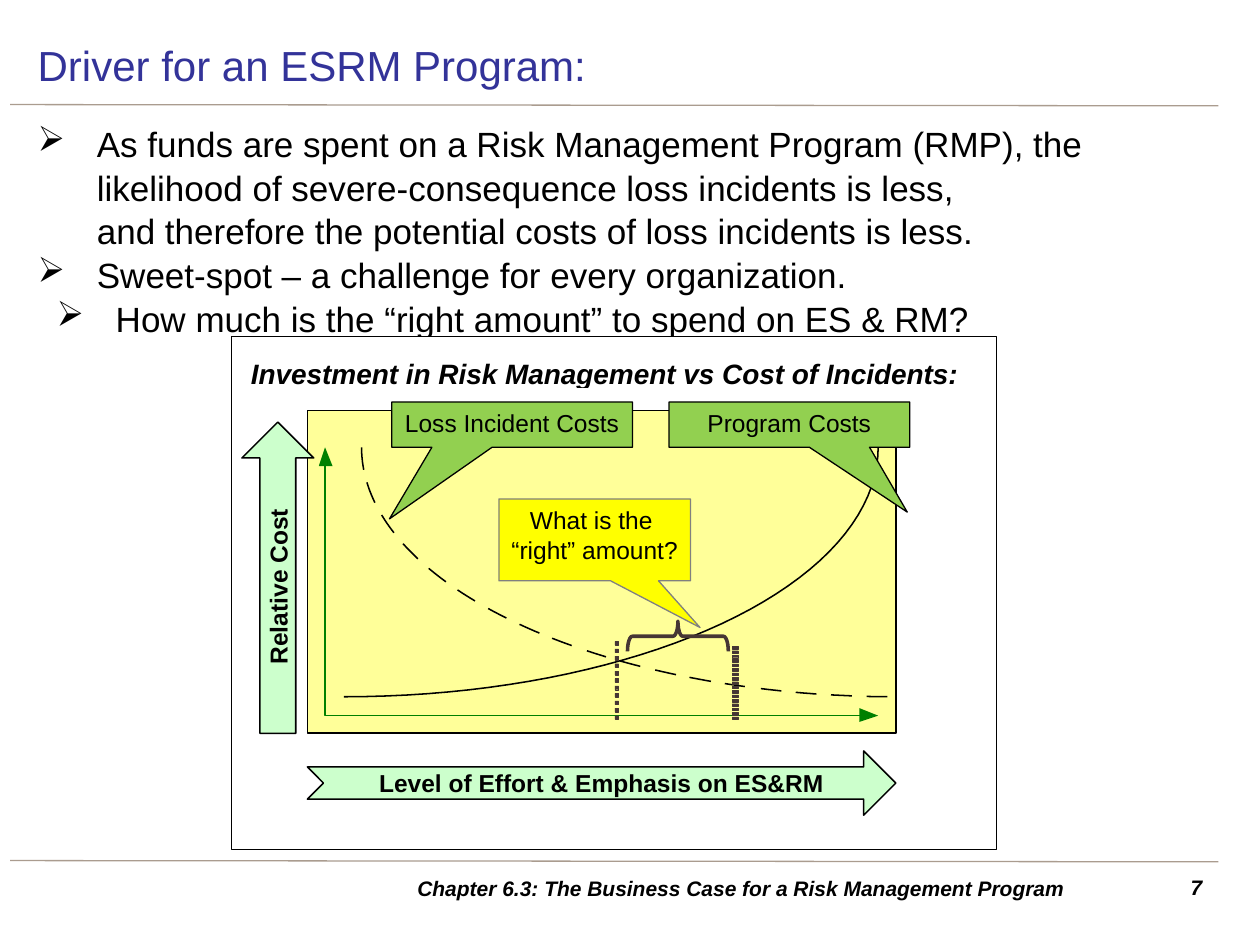
"""Build the slide on what drives an ESRM program."""
from itertools import groupby
from math import cos, dist, pi, sin

from lxml import etree
from pptx import Presentation
from pptx.dml.color import RGBColor
from pptx.enum.shapes import MSO_CONNECTOR, MSO_SHAPE
from pptx.enum.text import MSO_ANCHOR, PP_ALIGN
from pptx.oxml.ns import qn
from pptx.util import Inches, Pt

RECTANGLE, CALLOUT = MSO_SHAPE.RECTANGLE, MSO_SHAPE.RECTANGULAR_CALLOUT
UP_ARROW, NOTCHED_ARROW = MSO_SHAPE.UP_ARROW, MSO_SHAPE.NOTCHED_RIGHT_ARROW
LEFT_BRACE, STRAIGHT = MSO_SHAPE.LEFT_BRACE, MSO_CONNECTOR.STRAIGHT
LEFT, CENTER, RIGHT = PP_ALIGN.LEFT, PP_ALIGN.CENTER, PP_ALIGN.RIGHT
TOP, MIDDLE = MSO_ANCHOR.TOP, MSO_ANCHOR.MIDDLE

BLACK = RGBColor(0x00, 0x00, 0x00)
WHITE = RGBColor(0xFF, 0xFF, 0xFF)
TAUPE = RGBColor(0xAA, 0x9C, 0x8F)
NAVY = RGBColor(0x33, 0x33, 0x99)
CREAM = RGBColor(0xFF, 0xFF, 0x99)
MINT = RGBColor(0xCC, 0xFF, 0xCC)
GREEN = RGBColor(0x00, 0x80, 0x00)
LIME = RGBColor(0x92, 0xD0, 0x50)
YELLOW = RGBColor(0xFF, 0xFF, 0x00)
GRAY = RGBColor(0x80, 0x80, 0x80)
BROWN = RGBColor(0x46, 0x36, 0x34)


def paint(shape, fill=None, line=None, width=0.88):
    shape.shadow.inherit = False
    for part, color in ((shape.fill, fill), (shape.line.fill, line)):
        if color is None:
            part.background()
        else:
            part.solid()
            part.fore_color.rgb = color
    if line is not None:
        shape.line.width = Pt(width)


def write(shape, lines, size, align=LEFT, anchor=TOP, wrap=True, **style):
    frame = shape.text_frame
    frame.word_wrap = wrap
    frame.vertical_anchor = anchor
    frame.text = "\n".join(lines)
    for paragraph in frame.paragraphs:
        paragraph.alignment = align
        for run in paragraph.runs:
            run.font.color.rgb = style.get("color", BLACK)
            values = {"name": "Arial", "size": Pt(size), "bold": style.get("bold", False),
                      "italic": style.get("italic", False)}
            for name, value in values.items():
                setattr(run.font, name, value)
    return frame


prs = Presentation()
prs.slide_width, prs.slide_height = Inches(10), Inches(7.5)
slide = prs.slides.add_slide(prs.slide_layouts[6])
shapes = slide.shapes

for y in (0.83, 6.83):
    rule = shapes.add_connector(STRAIGHT, Inches(0.08), Inches(y), Inches(9.67), Inches(y + 0.01))
    rule.line.color.rgb = TAUPE
    rule.line.width = Pt(0.75)
    etree.SubElement(rule._element.spPr, qn("a:effectLst"))

points = shapes.add_textbox(Inches(0.2), Inches(0.91), Inches(9.45), Inches(5.83))
points_frame = write(points, [
    "As funds are spent on a Risk Management Program (RMP), the likelihood of "
    "severe-consequence loss incidents is less, \vand therefore the potential costs "
    "of loss incidents is less.",
    "Sweet-spot – a challenge for every organization.",
    "How much is the “right amount” to spend on ES & RM?",
], 20)
for paragraph, level, margin in zip(points_frame.paragraphs, (0, 0, 1), (0.47, 0.47, 0.62)):
    paragraph.level = level
    paragraph.line_spacing = 1.04
    properties = paragraph._p.get_or_add_pPr()
    properties.set("marL", str(Inches(margin)))
    properties.set("indent", str(-Inches(0.47)))
    bullet_color = etree.SubElement(properties, qn("a:buClr"))
    etree.SubElement(bullet_color, qn("a:srgbClr"), val=str(BLACK))
    etree.SubElement(properties, qn("a:buChar"), char="➢")

title = shapes.add_shape(RECTANGLE, Inches(0.2), Inches(0.24), Inches(9.45), Inches(0.55))
paint(title, WHITE)
title_fill = title._element.spPr.find(qn("a:solidFill"))
etree.SubElement(title_fill[0], qn("a:alpha"), val="70000")
write(title, ["Driver for an ESRM Program:"], 24, anchor=MIDDLE, color=NAVY)

page_number = shapes.add_textbox(Inches(9.06), Inches(6.89), Inches(0.58), Inches(0.31))
write(page_number, ["7"], 12, RIGHT, bold=True, italic=True)
chapter = shapes.add_textbox(Inches(2.95), Inches(6.89), Inches(5.91), Inches(0.31))
write(chapter, ["Chapter 6.3: The Business Case for a Risk Management Program "], 12,
      CENTER, MIDDLE, bold=True, italic=True)

panel = shapes.add_shape(RECTANGLE, Inches(1.84), Inches(2.67), Inches(6.07), Inches(4.07))
paint(panel, WHITE, BLACK, 0.63)
heading = shapes.add_textbox(Inches(1.83), Inches(2.83), Inches(6), Inches(0.27))
heading_frame = write(heading, ["Investment in Risk Management vs Cost of Incidents: "], 16,
                      CENTER, bold=True, italic=True)
for side in ("left", "top", "right", "bottom"):
    setattr(heading_frame, f"margin_{side}", 0)
backdrop = shapes.add_shape(RECTANGLE, Inches(1.95), Inches(3.08), Inches(5.36), Inches(3.48))
paint(backdrop, WHITE)
plot = shapes.add_shape(RECTANGLE, Inches(2.44), Inches(3.26), Inches(4.67), Inches(2.56))
paint(plot, CREAM, BLACK)

STEPS, CURVE_TOP, CURVE_WIDTH, CURVE_HEIGHT = 400, 3.55, 4.24, 1.98
angles = [pi / 2 * step / STEPS for step in range(STEPS + 1)]
program_curve = [(2.73 + CURVE_WIDTH * cos(a), CURVE_TOP + CURVE_HEIGHT * sin(a))
                 for a in angles[::10]]
loss_curve = [(7.11 - CURVE_WIDTH * cos(a), CURVE_TOP + CURVE_HEIGHT * sin(a)) for a in angles]

DASH, DASH_COUNT, DASHED_LENGTH = 0.18, 18, 4.99
dash_pitch = (DASHED_LENGTH - DASH) / (DASH_COUNT - 1)
travelled, measured = 0, [(0, loss_curve[0])]
for before, after in zip(loss_curve, loss_curve[1:]):
    travelled += dist(before, after)
    if travelled <= DASHED_LENGTH and travelled % dash_pitch <= DASH:
        measured.append((travelled, after))
loss_dashes = [[point for _, point in dash]
               for _, dash in groupby(measured, lambda item: item[0] // dash_pitch)]

limit_marks = []
for left, right, first, last, count, height in ((4.88, 4.91, 5.09, 5.68, 11, 0.03),
                                                (5.81, 5.86, 5.13, 5.69, 17, 0.02)):
    tops = [first + (last - first) * i / (count - 1) for i in range(count)]
    limit_marks.append([[(right, y), (right, y + height), (left, y + height), (left, y)]
                        for y in tops])

drawings = [([program_curve], False, None, BLACK, 0.88)]
drawings += [([dash], False, None, BLACK, 0.88) for dash in loss_dashes]
drawings += [
    ([[(2.58, 3.69), (2.58, 5.68), (6.83, 5.68)]], False, None, GREEN, 0.88),
    ([[(2.53, 3.7), (2.58, 3.55), (2.64, 3.7)]], True, GREEN, None, 0),
    ([[(6.82, 5.62), (6.97, 5.68), (6.82, 5.73)]], True, GREEN, None, 0),
]
drawings += [(mark, True, BROWN, BROWN, 0.13) for mark in limit_marks]
for contours, closed, fill, line, width in drawings:
    builder = None
    for contour in contours:
        start, *rest = [(Inches(x), Inches(y)) for x, y in contour]
        if builder is None:
            builder = shapes.build_freeform(*start)
        else:
            builder.move_to(*start)
        builder.add_line_segments(rest, close=closed)
    paint(builder.convert_to_shape(), fill, line, width)

brace = shapes.add_shape(LEFT_BRACE, Inches(5.26), Inches(4.65), Inches(0.24), Inches(0.8))
brace.rotation = 90
brace.adjustments[0] = 0.16
paint(brace, None, BROWN, 2)

cost_axis = shapes.add_shape(UP_ARROW, Inches(1.92), Inches(3.35), Inches(0.57), Inches(2.47))
paint(cost_axis, MINT, BLACK)
cost_frame = write(cost_axis, ["Relative Cost"], 14, CENTER, MIDDLE, bold=True)
cost_frame._txBody.bodyPr.set("vert", "vert270")
effort_axis = shapes.add_shape(NOTCHED_ARROW, Inches(2.44), Inches(5.96),
                               Inches(4.67), Inches(0.51))
paint(effort_axis, MINT, BLACK)
write(effort_axis, ["Level of Effort & Emphasis on ES&RM"], 14, CENTER, MIDDLE, bold=True)

for label, box, tip, fill, line in (
    ("Loss Incident Costs", (3.11, 3.19, 1.91, 0.36), (-0.51, 2.08), LIME, BLACK),
    ("Program Costs", (5.31, 3.19, 1.91, 0.36), (0.49, 1.93), LIME, BLACK),
    ("What is the \v“right” amount?", (3.96, 3.96, 1.52, 0.65), (0.55, 1.07), YELLOW, GRAY),
):
    callout = shapes.add_shape(CALLOUT, *map(Inches, box))
    callout.adjustments[0], callout.adjustments[1] = tip
    paint(callout, fill, line, 0.75)
    write(callout, [label], 14, CENTER, wrap=False)

prs.save("out.pptx")
